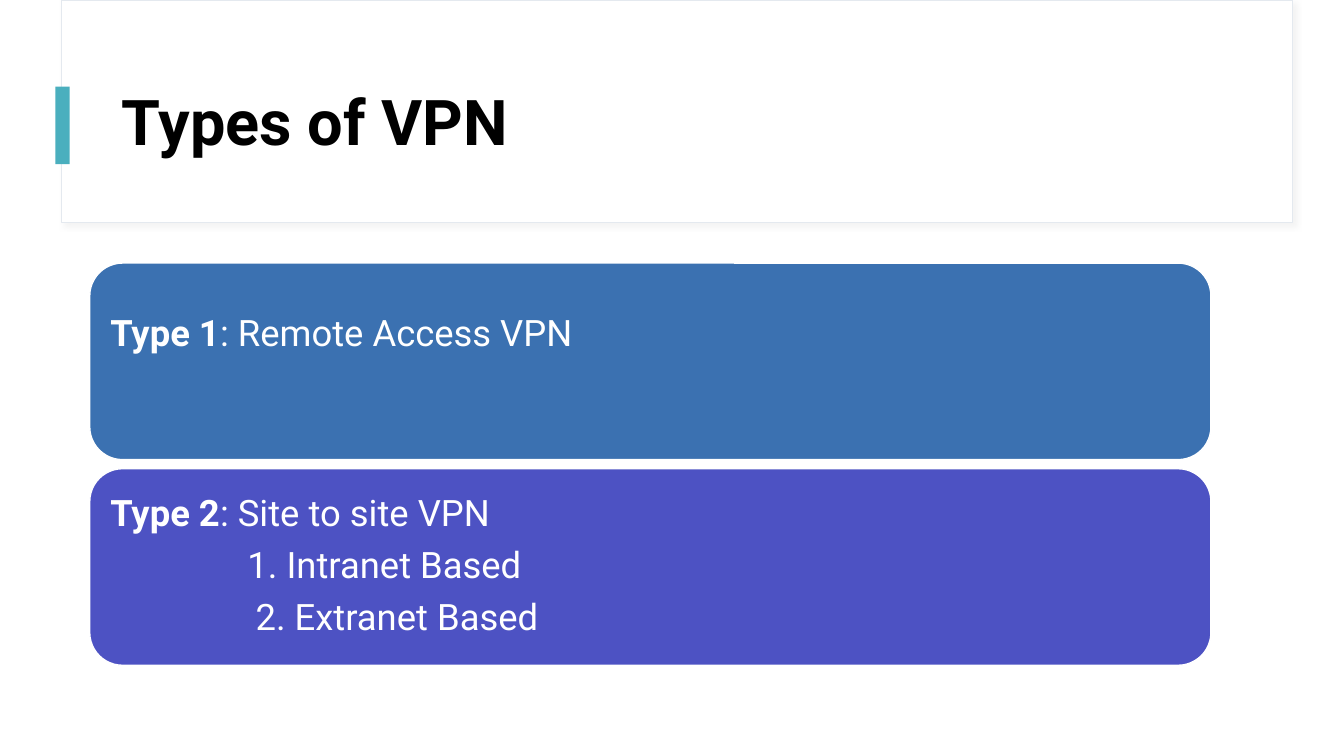
from dataclasses import dataclass

from lxml import etree
from pptx import Presentation
from pptx.dml.color import RGBColor
from pptx.enum.shapes import MSO_SHAPE as Shape
from pptx.enum.text import MSO_ANCHOR as Anchor, PP_ALIGN as Align
from pptx.oxml import parse_xml
from pptx.oxml.ns import nsdecls
from pptx.util import Inches, Pt


@dataclass(frozen=True)
class Theme:
    font: str = "Roboto"
    title_size: float = 45
    body_size: float = 26
    black: str = "000000"
    white: str = "FFFFFF"
    border: str = "E4E9EF"
    shadow: str = "D9D9D9"
    accent: str = "4AAFBE"
    blue: str = "3B71B1"
    violet: str = "4D52C3"


THEME = Theme()
PANEL_TOP, PANEL_HEIGHT, PANEL_PITCH = 2.61, 1.95, 2.04
LINE_PITCH = 0.52

# Each panel: colour, label, rest of the first line, indented items, line slots
PANELS = [
    (THEME.blue, "Type 1", ": Remote Access VPN", [], 2),
    (THEME.violet, "Type 2", ": Site to site VPN",
     [("1. Intranet Based", 1.36), ("2. Extranet Based", 1.44)], 3),
]


def add_block(page, kind, left, top, width, height, fill, line=None, weight=1):
    block = page.shapes.add_shape(
        kind, Inches(left), Inches(top), Inches(width), Inches(height))
    block.shadow.inherit = False
    block.fill.solid()
    block.fill.fore_color.rgb = RGBColor.from_string(fill)
    if line:
        block.line.color.rgb = RGBColor.from_string(line)
        block.line.width = Pt(weight)
    else:
        block.line.fill.background()
    return block


def add_soft_shadow(block):
    effects = block.element.spPr.find(
        "{http://schemas.openxmlformats.org/drawingml/2006/main}effectLst")
    effects.append(parse_xml(
        f'<a:outerShdw {nsdecls("a")} blurRad="{Pt(4)}" dist="{Pt(3)}" '
        f'dir="{45 * 60000}" algn="tl" rotWithShape="0">'
        f'<a:srgbClr val="{THEME.shadow}"><a:alpha val="30000"/></a:srgbClr>'
        '</a:outerShdw>'))


def style_para(para, size, colour):
    para.alignment = Align.LEFT
    para.line_spacing = 0.9
    para.font.name = THEME.font
    para.font.size = Pt(size)
    para.font.color.rgb = RGBColor.from_string(colour)


def add_header(page, text):
    card = add_block(page, Shape.RECTANGLE, 0.61, 0, 12.21, 2.21,
                     THEME.white, THEME.border, 0.75)
    add_soft_shadow(card)
    add_block(page, Shape.RECTANGLE, 0.55, 0.86, 0.14, 0.77, THEME.accent)

    title = page.shapes.title
    title.left, title.top = Inches(1.11), Inches(0.6)
    title.width, title.height = Inches(11.12), Inches(1.29)
    title.text_frame.text = text
    title.text_frame.vertical_anchor = Anchor.MIDDLE
    para = title.text_frame.paragraphs[0]
    style_para(para, THEME.title_size, THEME.black)
    para.font.bold = True
    # Bring the title in front of the card
    title.element.getparent().append(title.element)


def add_panel(page, top, colour, label, rest, items, slots):
    """Add a rounded panel whose text is centred as if it had `slots` lines."""
    panel = add_block(page, Shape.ROUNDED_RECTANGLE, 0.89, top, 11.12,
                      PANEL_HEIGHT, colour, THEME.white)
    frame = panel.text_frame
    frame.word_wrap = True
    frame.vertical_anchor = Anchor.MIDDLE
    frame.margin_left = frame.margin_right = frame.margin_top = Inches(0.11)
    empty_slots = slots - 1 - len(items)
    frame.margin_bottom = Inches(0.11 + empty_slots * LINE_PITCH)

    heading = frame.paragraphs[0]
    span = heading.add_run()
    span.text = label
    span.font.bold = True
    heading.add_run().text = rest
    for text, indent in items:
        para = frame.add_paragraph()
        para.text = text
        properties = para._p.get_or_add_pPr()
        properties.set("marL", str(Inches(indent)))
        properties.set("indent", "0")
    for para in frame.paragraphs:
        style_para(para, THEME.body_size, THEME.white)
        para.space_after = Pt(0.35 * THEME.body_size)


def main():
    deck = Presentation()
    deck.slide_width, deck.slide_height = Inches(13.33), Inches(7.5)
    page = deck.slides.add_slide(deck.slide_layouts.get_by_name("Title Only"))
    add_header(page, "Types of VPN")
    for index, panel in enumerate(PANELS):
        add_panel(page, PANEL_TOP + index * PANEL_PITCH, *panel)
    deck.save("out.pptx")


if __name__ == "__main__":
    main()
